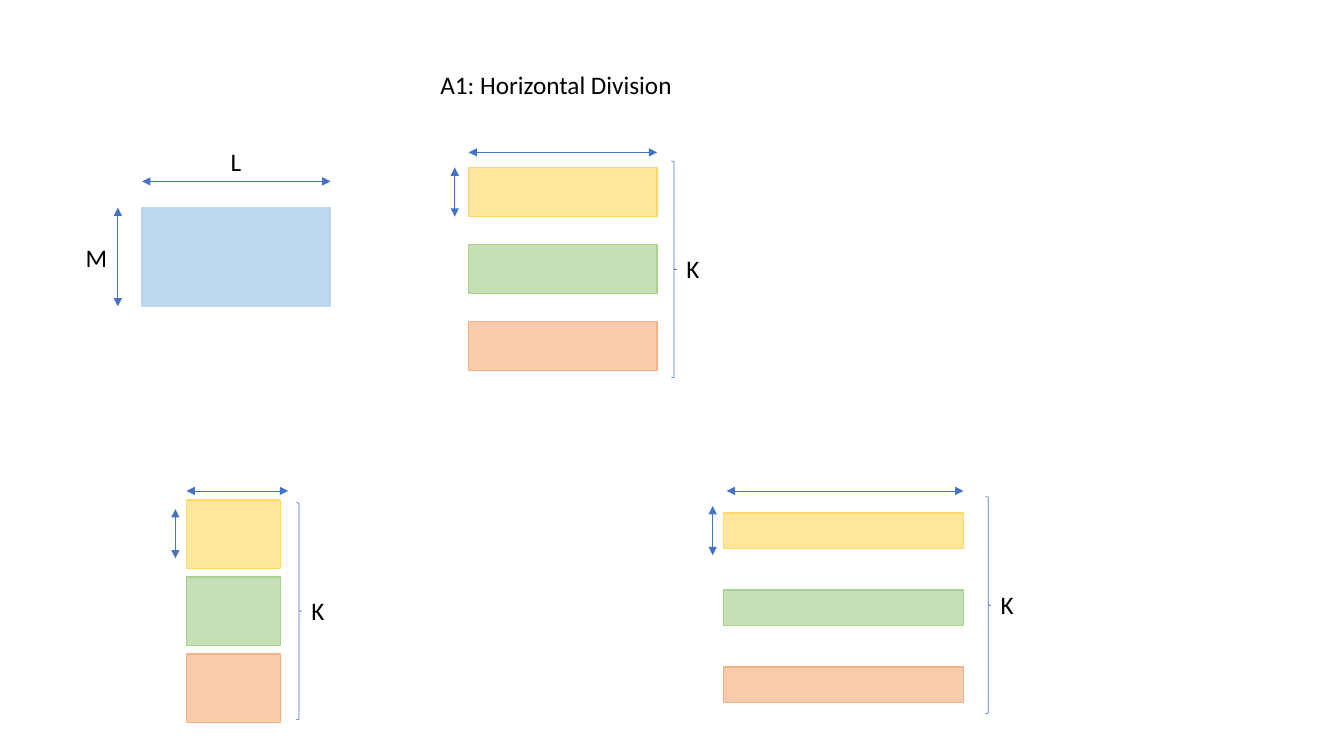
"""Build the slide on dividing an L by M block into K horizontal strips."""
from lxml import etree
from pptx import Presentation
from pptx import util as u
from pptx.dml.color import RGBColor
from pptx.enum import shapes, text
from pptx.oxml.ns import qn

COLORS = {
    "black": "000000", "arrow": "4472C4", "block": "BDD7EE",
    "yellow": "FFE699", "yellow_edge": "FFD966",
    "green": "C5E0B4", "green_edge": "A9D18E",
    "orange": "F8CBAD", "orange_edge": "F4B183",
}
STRIP_PITCH = 1.94
STRIP_ARROW = 1.24
BRACE_W, BRACE_H = 0.13, 5.46

prs = Presentation()
prs.slide_width, prs.slide_height = u.Cm(33.87), u.Cm(19.05)
s = prs.slides.add_slide(prs.slide_layouts[6])


def add_text(content, x, y, w, h=1.02, size=18, font="Calibri", color="black"):
    tf = s.shapes.add_textbox(u.Cm(x), u.Cm(y), u.Cm(w), u.Cm(h)).text_frame
    tf.word_wrap = False
    tf.auto_size = text.MSO_AUTO_SIZE.SHAPE_TO_FIT_TEXT
    r = tf.paragraphs[0].add_run()
    r.text = content
    r.font.size = u.Pt(size)
    r.font.name = font
    r.font.color.rgb = RGBColor.from_string(COLORS[color])


def add_shape(kind, x, y, w, h, fill, edge, width=1):
    sp = s.shapes.add_shape(kind, u.Cm(x), u.Cm(y), u.Cm(w), u.Cm(h))
    sp.shadow.inherit = False
    if fill:
        sp.fill.solid()
        sp.fill.fore_color.rgb = RGBColor.from_string(COLORS[fill])
    else:
        sp.fill.background()
    sp.line.color.rgb = RGBColor.from_string(COLORS[edge])
    sp.line.width = u.Pt(width)


RECT = shapes.MSO_SHAPE.RECTANGLE
BRACE = shapes.MSO_SHAPE.RIGHT_BRACE

add_text("A1: Horizontal Division", 10.85, 1.63, 6.4)
add_shape(RECT, 3.58, 5.23, 4.75, 2.49, "block", "block")
add_text("M", 1.91, 5.97, 1.07)
add_text("L", 5.56, 3.56, 0.79)
arrows = [(2.97, 5.23, 2.97, 7.72), (3.58, 4.57, 8.33, 4.57)]

divisions = [
    {"strip": (11.81, 4.22, 4.75, 1.24), "height": (11.46, 4.22),
     "width": (11.81, 16.56, 3.84), "brace": (16.92, 4.06)},
    {"strip": (4.7, 12.6, 2.37, 1.73), "height": (4.42, 12.83),
     "width": (4.7, 7.26, 12.37), "brace": (7.47, 12.67)},
    {"strip": (18.24, 12.93, 6.05, 0.89), "height": (17.96, 12.75),
     "width": (18.31, 24.28, 12.37), "brace": (24.84, 12.52)},
]
for division in divisions:
    x, y, w, h = division["strip"]
    for i, color in enumerate(("yellow", "green", "orange")):
        add_shape(RECT, x, y + i * STRIP_PITCH, w, h, color, color + "_edge")
    x, y = division["height"]
    arrows.append((x, y, x, y + STRIP_ARROW))
    left, right, y = division["width"]
    arrows.append((left, y, right, y))
    x, y = division["brace"]
    add_shape(BRACE, x, y, BRACE_W, BRACE_H, None, "arrow", width=0.5)
    add_text("K", x + BRACE_W, y + 2.21, 0.84)

for ends in arrows:
    arrow = s.shapes.add_connector(shapes.MSO_CONNECTOR.STRAIGHT, *map(u.Cm, ends))
    arrow.line.color.rgb = RGBColor.from_string(COLORS["arrow"])
    arrow.line.width = u.Pt(0.5)
    ln = arrow.line._get_or_add_ln()
    for end in ("a:headEnd", "a:tailEnd"):
        etree.SubElement(ln, qn(end), type="triangle")
    etree.SubElement(arrow._element.spPr, qn("a:effectLst"))

prs.save("out.pptx")
